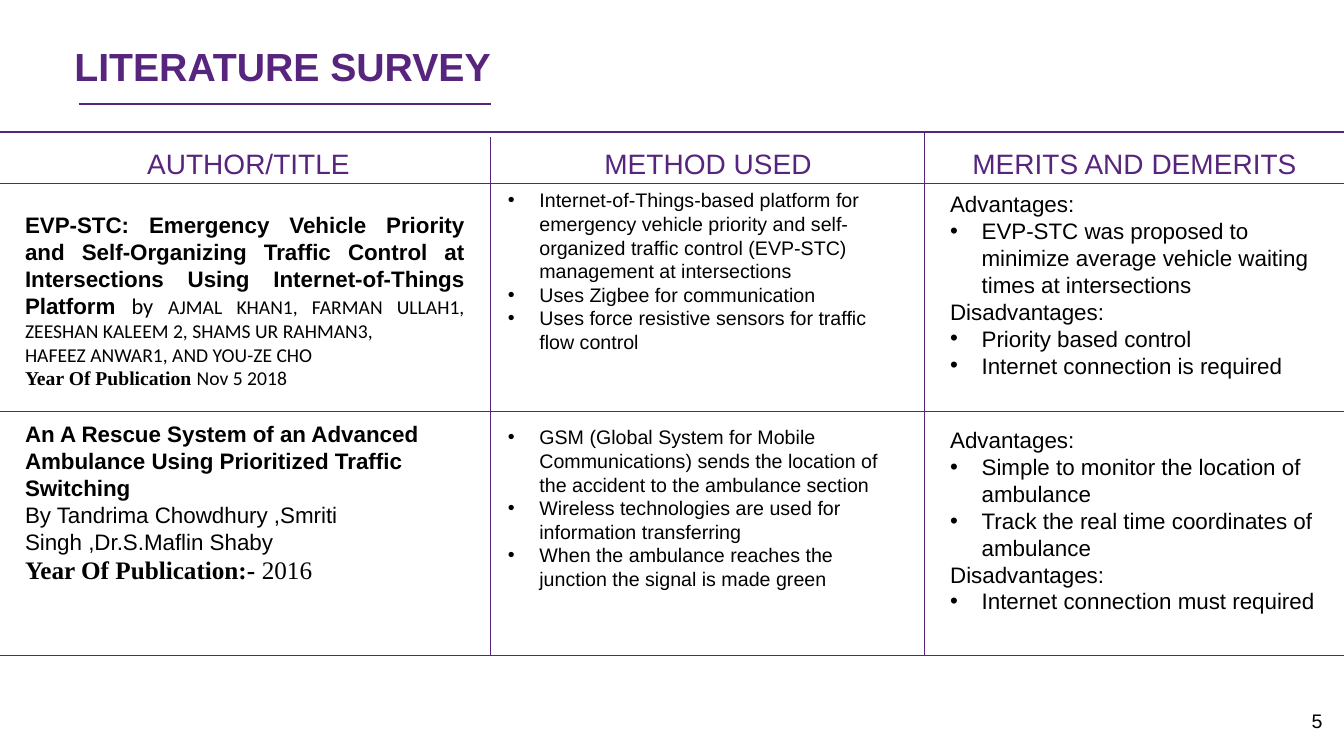
import dataclasses

import pptx
import pptx.dml.color
import pptx.enum.shapes
import pptx.enum.text
import pptx.oxml.ns
import pptx.util
from lxml import etree

Pt = pptx.util.Pt
Align = pptx.enum.text.PP_ALIGN
qn = pptx.oxml.ns.qn


@dataclasses.dataclass(frozen=True)
class Theme:
    purple: str = "57257D"
    black: str = "000000"
    sans: str = "Arial"
    humanist: str = "Calibri"
    serif: str = "Times New Roman"
    title: int = 28
    heading: int = 20
    large: int = 18
    body: int = 16
    small: int = 14
    indent: float = 22.5
    rule: float = 0.75
    underline: float = 1


THEME = Theme()
WIDTH, HEIGHT = 960, 540
RULES_ACROSS = (94.3, 131, 293.8, 468)
RULES_DOWN = ((350.6, 97.9), (660.2, 94.3))

HEADINGS = (
    ("AUTHOR/TITLE", 95.8, 163.4),
    ("METHOD USED", 424.1, 163.4),
    ("MERITS AND DEMERITS", 681.1, 258.5),
)

METHODS = (
    ((355.7, 131, 298.8, 126), (
        "Internet-of-Things-based platform for emergency vehicle priority and "
        "self-organized traffic control (EVP-STC) management at intersections",
        "Uses Zigbee for communication",
        "Uses force resistive sensors for traffic flow control",
    )),
    ((355.7, 300.3, 291.6, 126), (
        "GSM (Global System for Mobile Communications) sends the location of "
        "the accident to the ambulance section",
        "Wireless technologies are used for information transferring",
        "When the ambulance reaches the junction the signal is made green",
    )),
)

MERITS = (
    ((671.6, 132.5, 293, 143.3),
     ("EVP-STC was proposed to minimize average vehicle waiting times at intersections",),
     ("Priority based control", "Internet connection is required")),
    ((671.6, 301, 298.8, 143.3),
     ("Simple to monitor the location of ambulance",
      "Track the real time coordinates of ambulance"),
     ("Internet connection must required",)),
)


def apply(target, values):
    for name, value in values.items():
        setattr(target, name, value)


def add_span(para, text, size, font=THEME.sans, bold=False, color=THEME.black):
    span = para.add_run()
    span.text = text
    apply(span.font, {"size": Pt(size), "name": font, "bold": bold})
    span.font.color.rgb = pptx.dml.color.RGBColor.from_string(color)


def add_para(frame, spans, bullet=False, **values):
    first = frame.paragraphs[0]
    para = first if not first.runs else frame.add_paragraph()
    apply(para, values)
    if bullet:
        properties = para._p.get_or_add_pPr()
        properties.set("marL", str(Pt(THEME.indent)))
        properties.set("indent", str(-Pt(THEME.indent)))
        etree.SubElement(properties, qn("a:buFont")).set("typeface", THEME.sans)
        etree.SubElement(properties, qn("a:buChar")).set("char", "•")
    for span in spans:
        add_span(para, *span)


def add_box(page, left, top, width, height):
    box = page.shapes.add_textbox(Pt(left), Pt(top), Pt(width), Pt(height))
    box.text_frame.word_wrap = True
    return box.text_frame


def add_rule(page, start, end, weight=THEME.rule):
    points = [Pt(value) for value in (*start, *end)]
    rule = page.shapes.add_connector(pptx.enum.shapes.MSO_CONNECTOR.STRAIGHT, *points)
    rule.line.width = Pt(weight)
    rule.line.color.rgb = pptx.dml.color.RGBColor.from_string(THEME.purple)
    etree.SubElement(rule._element.spPr, qn("a:effectLst"))


def add_title(page, text):
    title = page.shapes.title
    apply(title, {"left": Pt(46), "top": Pt(26.6), "width": Pt(397.4), "height": Pt(41)})
    apply(title.text_frame, {
        "word_wrap": True,
        "auto_size": pptx.enum.text.MSO_AUTO_SIZE.NONE,
        "vertical_anchor": pptx.enum.text.MSO_ANCHOR.TOP,
    })
    span = (text, THEME.title, THEME.sans, True, THEME.purple)
    add_para(title.text_frame, [span], alignment=Align.LEFT)
    add_rule(page, (56.2, 74.2), (350.6, 74.2), THEME.underline)


def add_grid(page):
    for top in RULES_ACROSS:
        add_rule(page, (0, top), (WIDTH, top))
    for left, top in RULES_DOWN:
        add_rule(page, (left, top), (left, RULES_ACROSS[-1]))


def add_papers(page):
    frame = add_box(page, 10.8, 147.6, 328.3, 273.6)
    justified = {"alignment": Align.JUSTIFY}
    add_para(frame, [
        ("EVP-STC: Emergency Vehicle Priority and Self-Organizing Traffic Control at "
         "Intersections Using Internet-of-Things Platform ", THEME.body, THEME.sans, True),
        ("by ", THEME.body, THEME.humanist),
        ("AJMAL KHAN1, FARMAN ULLAH1, ZEESHAN KALEEM 2, SHAMS UR RAHMAN3,",
         THEME.small, THEME.humanist),
    ], **justified)
    add_para(frame, [
        ("HAFEEZ ANWAR1, AND YOU-ZE CHO ", THEME.small, THEME.humanist),
    ], **justified)
    add_para(frame, [
        ("Year Of Publication ", THEME.small, THEME.serif, True),
        ("Nov 5 2018", THEME.small, THEME.humanist),
    ], **justified)
    add_para(frame, [
        ("An A Rescue System of an Advanced Ambulance Using Prioritized Traffic Switching",
         THEME.body, THEME.sans, True),
    ], space_before=Pt(22))
    add_para(frame, [
        ("By Tandrima Chowdhury ,Smriti Singh ,Dr.S.Maflin Shaby", THEME.body),
    ])
    add_para(frame, [
        ("Year Of Publication:- ", THEME.large, THEME.serif, True),
        ("2016", THEME.large, THEME.serif),
    ])


def add_bullets(frame, items, size):
    for item in items:
        add_para(frame, [(item, size)], bullet=True)


def add_merits(page, place, advantages, disadvantages):
    frame = add_box(page, *place)
    for label, items in (("Advantages:", advantages), ("Disadvantages:", disadvantages)):
        add_para(frame, [(label, THEME.body)])
        add_bullets(frame, items, THEME.body)


def main():
    deck = pptx.Presentation()
    apply(deck, {"slide_width": Pt(WIDTH), "slide_height": Pt(HEIGHT)})
    page = deck.slides.add_slide(deck.slide_layouts[5])
    add_title(page, "LITERATURE SURVEY")
    add_grid(page)
    for text, left, width in HEADINGS:
        span = (text, THEME.heading, THEME.sans, False, THEME.purple)
        add_para(add_box(page, left, 100.8, width, 31.7), [span], alignment=Align.CENTER)
    add_papers(page)
    for place, items in METHODS:
        add_bullets(add_box(page, *place), items, THEME.small)
    for place, advantages, disadvantages in MERITS:
        add_merits(page, place, advantages, disadvantages)
    number = add_box(page, 727.9, 502.6, 223.9, 37.4)
    add_para(number, [("5", THEME.small)], alignment=Align.RIGHT)
    deck.save("out.pptx")


if __name__ == "__main__":
    main()
